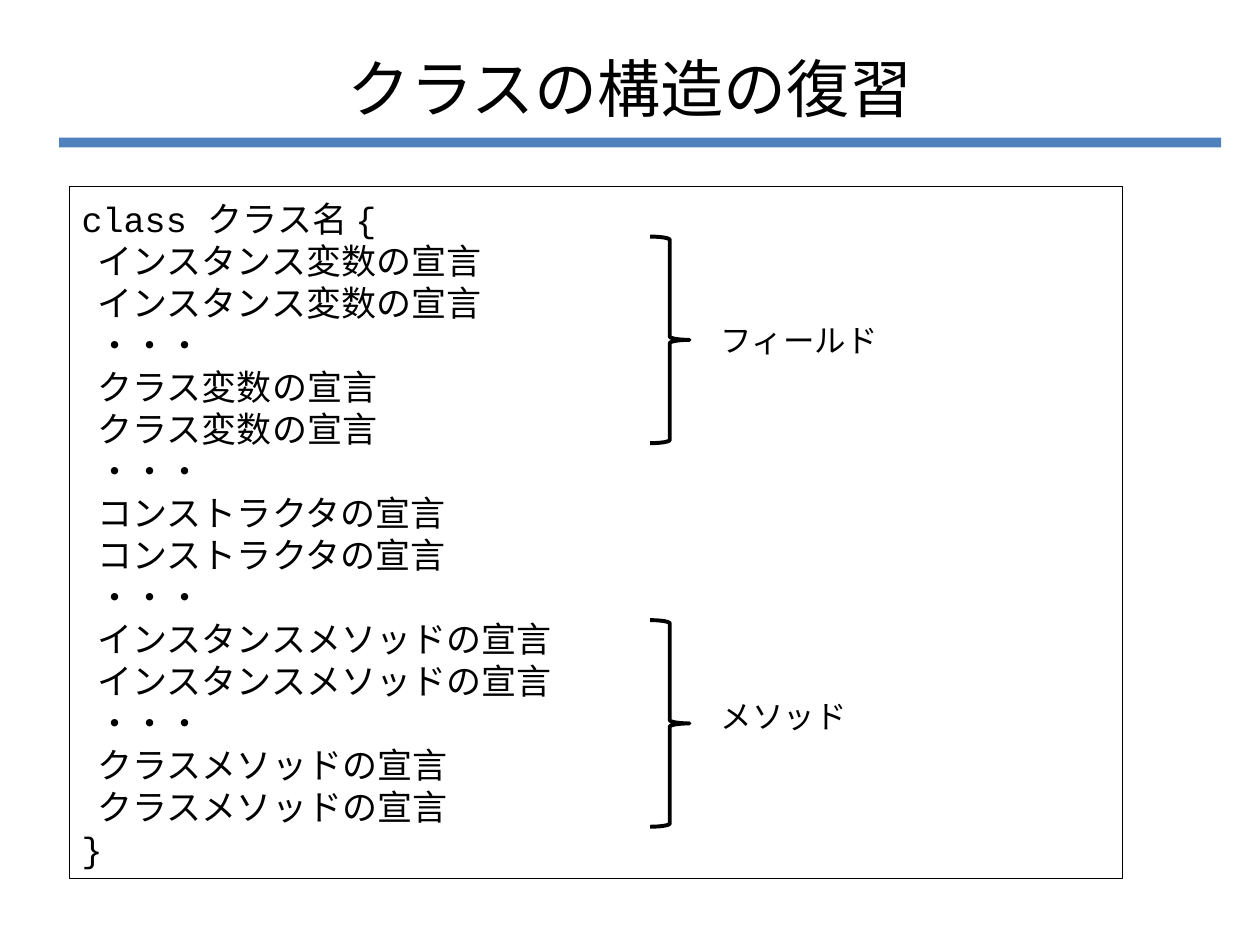
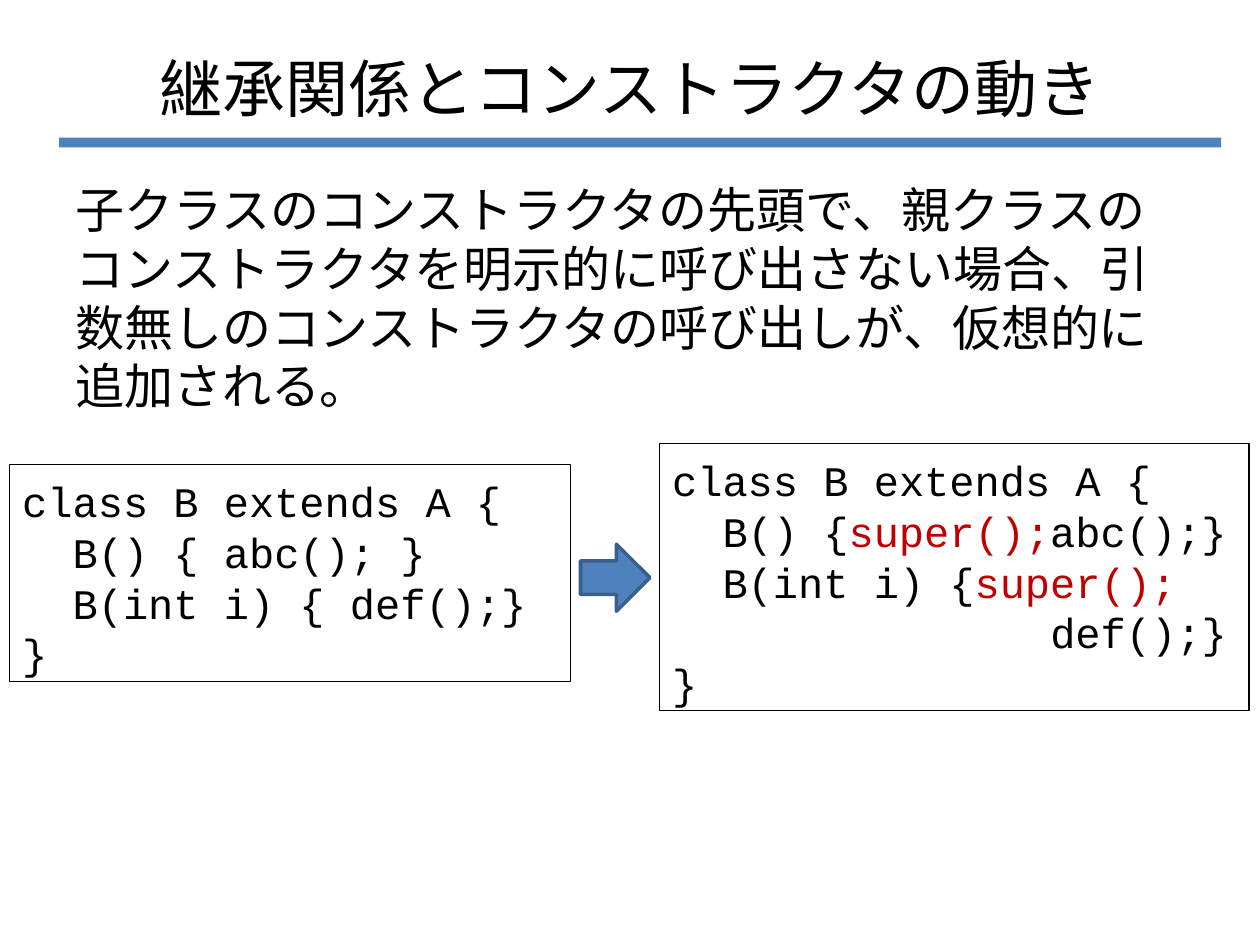
from lxml import etree
from pptx import Presentation
from pptx.dml.color import RGBColor
from pptx.enum.shapes import MSO_SHAPE
from pptx.enum.text import MSO_ANCHOR, PP_ALIGN
from pptx.oxml.ns import qn
from pptx.util import Pt

RECTANGLE = MSO_SHAPE.RECTANGLE
RIGHT_BRACE = MSO_SHAPE.RIGHT_BRACE
RIGHT_ARROW = MSO_SHAPE.RIGHT_ARROW
TOP, MIDDLE = MSO_ANCHOR.TOP, MSO_ANCHOR.MIDDLE
LEFT, CENTER = PP_ALIGN.LEFT, PP_ALIGN.CENTER

COLORS = {
    "text": "000000",
    "accent": "4F81BD",
    "arrow_line": "3A5F8C",
    "highlight": "C00000",
}
TITLE_FONT = "Arial"
CODE_FONT = "Courier New"
JAPANESE_FONT = "Noto Sans CJK JP"
BLANK_LAYOUT = 6


def color(name):
    return RGBColor.from_string(COLORS[name])


def add_run(paragraph, text, font_name, size, color_name="text"):
    run = paragraph.add_run()
    run.text = text
    run.font.size = Pt(size)
    run.font.color.rgb = color(color_name)
    run.font.name = font_name
    east_asian = etree.SubElement(run.font._element, qn("a:ea"))
    east_asian.set("typeface", JAPANESE_FONT)


def write_lines(shape, lines, font_name, size, spacing=None, align=LEFT,
                anchor=TOP, top_inset=3.6, wrap=True):
    """Fill a shape; a line is a string or a list of (text, colour) runs, "\\n" being a break."""
    frame = shape.text_frame
    frame.word_wrap = wrap
    frame.vertical_anchor = anchor
    frame.margin_top = Pt(top_inset)
    for index, line in enumerate(lines):
        paragraph = frame.add_paragraph() if index else frame.paragraphs[0]
        paragraph.alignment = align
        if spacing:
            paragraph.line_spacing = Pt(spacing)
        runs = [(line, "text")] if isinstance(line, str) else line
        for text, color_name in runs:
            if text == "\n":
                paragraph.add_line_break()
            else:
                add_run(paragraph, text, font_name, size, color_name)


def add_text(slide, box, lines, font_name, size, **options):
    text_box = slide.shapes.add_textbox(*map(Pt, box))
    write_lines(text_box, lines, font_name, size, **options)


def add_preset(slide, preset, box, fill=None, line=None, line_width=0.75):
    shape = slide.shapes.add_shape(preset, *map(Pt, box))
    shape.shadow.inherit = False
    if fill:
        shape.fill.solid()
        shape.fill.fore_color.rgb = color(fill)
    else:
        shape.fill.background()
    if line:
        shape.line.color.rgb = color(line)
        shape.line.width = Pt(line_width)
    else:
        shape.line.fill.background()
    return shape


def add_titled_slide(presentation, title):
    slide = presentation.slides.add_slide(presentation.slide_layouts[BLANK_LAYOUT])
    add_preset(slide, RECTANGLE, (33.8, 78.7, 664, 5.6), fill="accent")
    add_text(slide, (36, 21.6, 648, 56.9), [title], TITLE_FONT, 36,
             align=CENTER, anchor=MIDDLE)
    return slide


def add_code_box(slide, box, lines, size, spacing):
    shape = add_preset(slide, RECTANGLE, box, line="text")
    write_lines(shape, lines, CODE_FONT, size, spacing=spacing, top_inset=6)


def add_brace_label(slide, brace_top, label_top, label, label_width):
    add_preset(slide, RIGHT_BRACE, (371.5, brace_top, 22.5, 118.1),
               line="text", line_width=2.25)
    add_text(slide, (404.9, label_top, label_width, 29), [label], CODE_FONT, 18,
             anchor=MIDDLE, wrap=False)


def build_class_structure(presentation):
    slide = add_titled_slide(presentation, "クラスの構造の復習")
    members = ["インスタンス変数", "クラス変数", "コンストラクタ",
               "インスタンスメソッド", "クラスメソッド"]
    lines = ["class クラス名 {"]
    for member in members:
        lines += [f"  {member}の宣言"] * 2 + ["  ・・・"]
    lines[-1] = "}"
    add_code_box(slide, (39.6, 106.7, 602, 395.4), lines, 20, 24)
    add_brace_label(slide, 135.2, 180, "フィールド", 105)
    add_brace_label(slide, 354.4, 394.8, "メソッド", 87)


def build_constructor_behaviour(presentation):
    slide = add_titled_slide(presentation, "継承関係とコンストラクタの動き")
    explanation = (
        "子クラスのコンストラクタの先頭で、親クラスのコンストラクタを明示的に"
        "呼び出さない場合、引数無しのコンストラクタの呼び出しが、仮想的に追加される。"
    )
    add_text(slide, (36, 95.8, 648, 146), [explanation], JAPANESE_FONT, 28,
             spacing=33.5, top_inset=7)

    written_code = ["class B extends A {", "  B() { abc(); }",
                    "  B(int i) { def();}", "}"]
    super_call = ("super();", "highlight")
    effective_code = [
        "class B extends A {",
        [("  B() {", "text"), super_call, ("abc();}", "text")],
        [("  B(int i) {", "text"), super_call, ("\n", "text"),
         ("               def();}", "text")],
        "}",
    ]
    add_code_box(slide, (5.6, 265.6, 320.6, 123.7), written_code, 24, 29)
    add_code_box(slide, (377, 253.5, 336.8, 152.6), effective_code, 24, 29)
    add_preset(slide, RIGHT_ARROW, (331.7, 311, 39.7, 38.3),
               fill="accent", line="arrow_line", line_width=2)


def main():
    presentation = Presentation()
    presentation.slide_width = Pt(720)
    presentation.slide_height = Pt(540)
    build_class_structure(presentation)
    build_constructor_behaviour(presentation)
    presentation.save("out.pptx")


if __name__ == "__main__":
    main()
